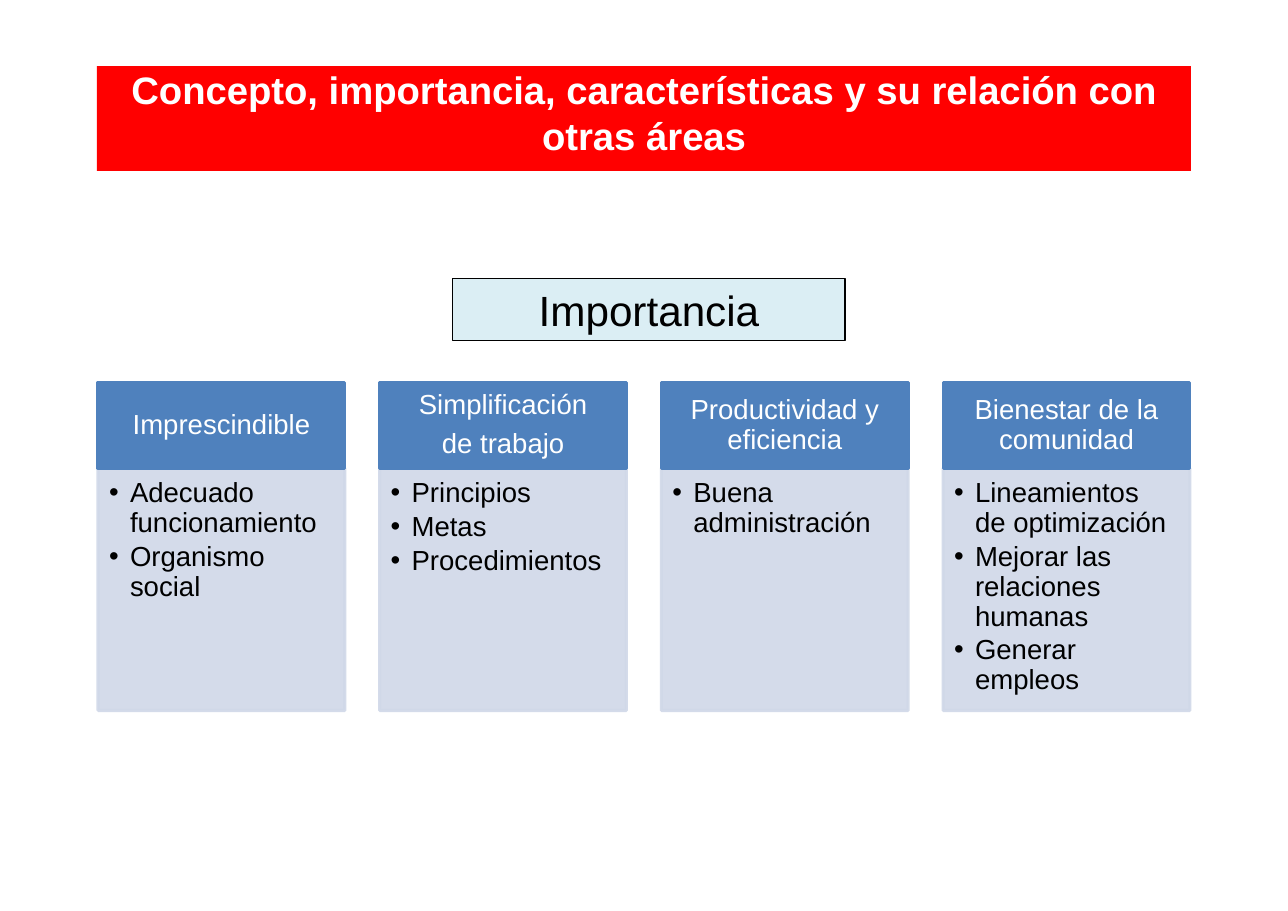
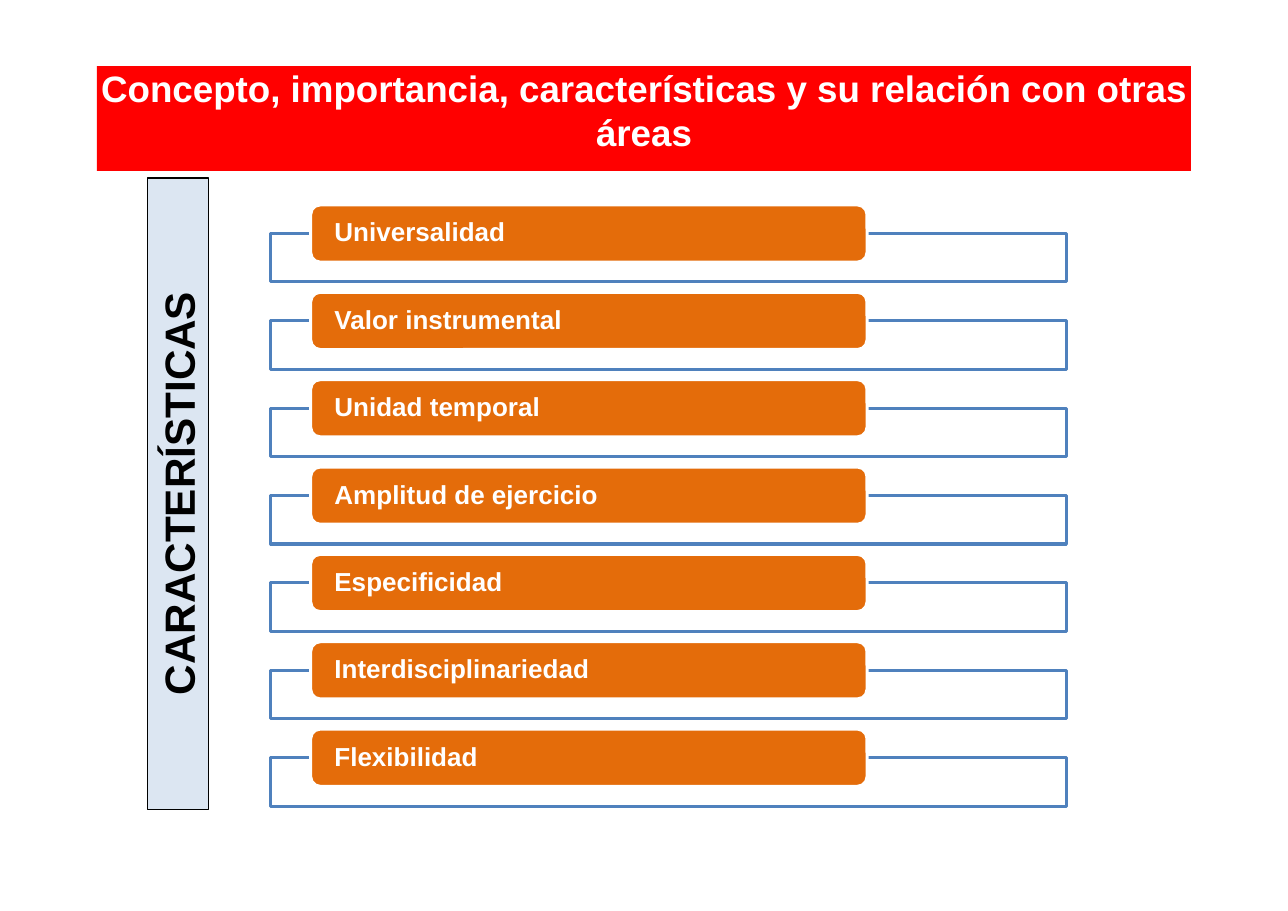
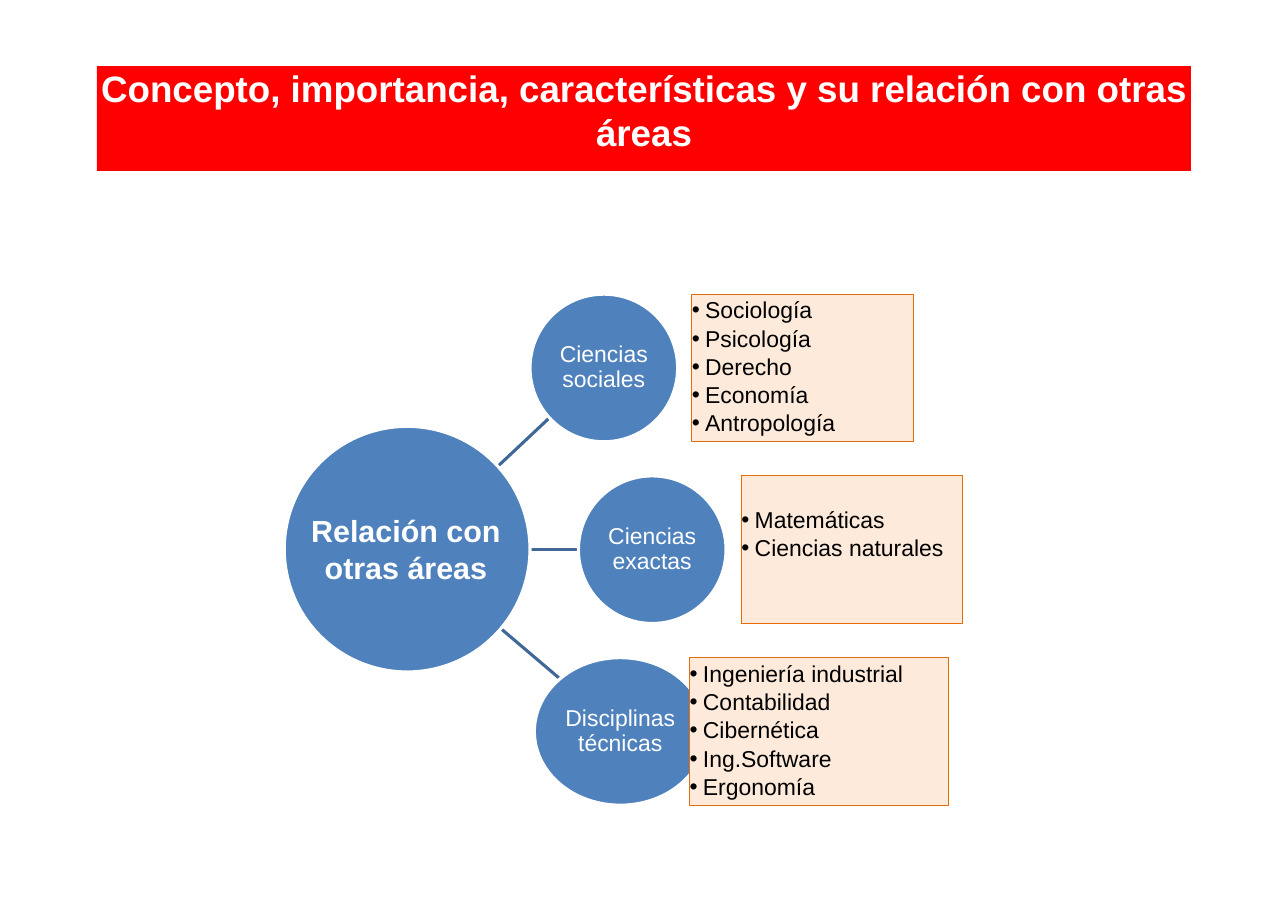
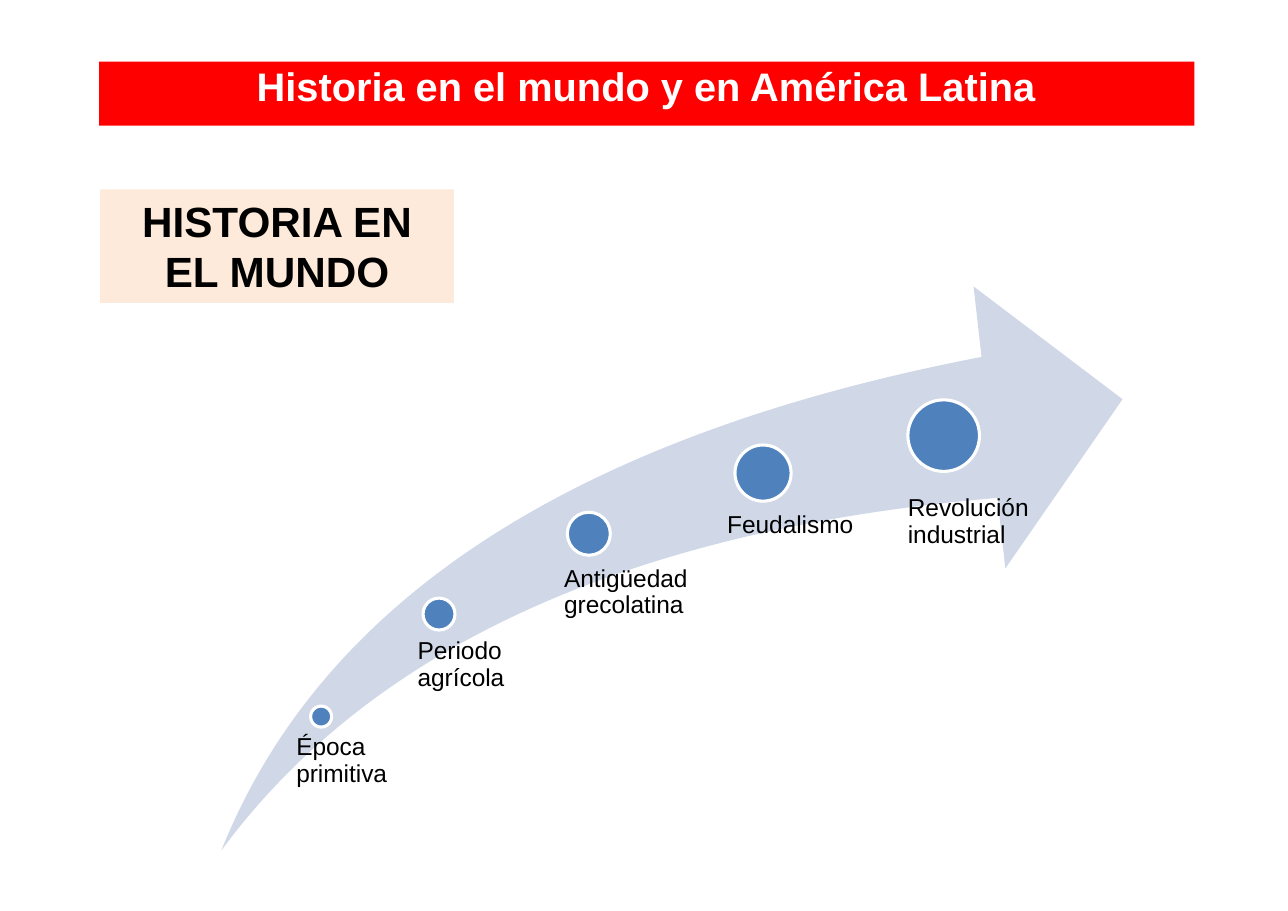
from dataclasses import dataclass

from lxml.etree import SubElement
from pptx import Presentation
from pptx.dml.color import RGBColor
from pptx.enum.shapes import MSO_CONNECTOR, MSO_SHAPE
from pptx.enum.text import MSO_ANCHOR, MSO_AUTO_SIZE, PP_ALIGN
from pptx.oxml.ns import qn
from pptx.util import Inches, Pt


@dataclass(frozen=True)
class Theme:
    font: str = "Arial"
    white: str = "FFFFFF"
    black: str = "000000"
    red: str = "FF0000"
    blue: str = "4F81BD"
    dark_blue: str = "3F6797"
    pale_blue: str = "D0D8E8"
    side_blue: str = "DCE6F2"
    aqua: str = "DBEEF4"
    orange: str = "E46C0A"
    peach: str = "FDEADA"
    title: float = 24
    heading: float = 27.6
    hub: float = 19.9
    column: float = 18
    bar: float = 17
    era: float = 16
    branch: float = 15


THEME = Theme()
TITLE_BOX = (7.53, 7.26, 84.94, 11.49)
TOPIC = "Concepto, importancia, características y su relación con otras áreas"
TITLE_ONLY, COMPARISON = 5, 4

deck = Presentation()
deck.slide_width, deck.slide_height = Inches(11.69), Inches(8.27)
ACROSS, DOWN = deck.slide_width / 100, deck.slide_height / 100


def dress(shape, share, fill=None, line=None, weight=2.0):
    """Place a shape by percentages of the slide, then set its fill and outline."""
    left, top, width, height = share
    shape.left, shape.top = round(left * ACROSS), round(top * DOWN)
    shape.width, shape.height = round(width * ACROSS), round(height * DOWN)
    shape.shadow.inherit = False
    if fill:
        shape.fill.solid()
        shape.fill.fore_color.rgb = RGBColor.from_string(fill)
    if line:
        shape.line.color.rgb = RGBColor.from_string(line)
        shape.line.width = Pt(weight)
    else:
        shape.line.fill.background()
    return shape


def write(shape, lines, size, color=THEME.black, bold=False, align=PP_ALIGN.CENTER,
          anchor=MSO_ANCHOR.TOP, insets=(0.1, 0.05, 0.1, 0.05), spacing=1.0,
          after=0.0, hanging=0.0):
    """Fill a shape with paragraphs; after is a share of the type size, and
    a hanging indent in inches turns the paragraphs into bullets."""
    frame = shape.text_frame
    frame.auto_size, frame.word_wrap = MSO_AUTO_SIZE.NONE, True
    frame.vertical_anchor = anchor
    (frame.margin_left, frame.margin_top,
     frame.margin_right, frame.margin_bottom) = map(Inches, insets)
    frame.text = "\n".join(lines)
    for paragraph in frame.paragraphs:
        paragraph.alignment = align
        paragraph.line_spacing = spacing
        paragraph.space_before, paragraph.space_after = Pt(0), Pt(size * after)
        paragraph.font.name, paragraph.font.size = THEME.font, Pt(size)
        paragraph.font.bold = bold
        paragraph.font.color.rgb = RGBColor.from_string(color)
        if hanging:
            properties = paragraph._p.get_or_add_pPr()
            properties.set("marL", str(Inches(hanging)))
            properties.set("indent", str(-Inches(hanging)))
            bullet = properties.makeelement(qn("a:buChar"), {"char": "•"})
            properties.insert_element_before(bullet, "a:tabLst", "a:defRPr", "a:extLst")


# Slides and their title bands
slides = []
for layout, title, size, band in (
    (COMPARISON, TOPIC, THEME.title + 1, TITLE_BOX),
    (TITLE_ONLY, TOPIC, THEME.title, TITLE_BOX),
    (COMPARISON, TOPIC, THEME.title, TITLE_BOX),
    (TITLE_ONLY, "Historia en el mundo y en América Latina", THEME.title + 2,
     (7.7, 6.77, 85.03, 7.01)),
):
    slide = deck.slides.add_slide(deck.slide_layouts[layout])
    write(dress(slide.shapes.title, band, THEME.red), [title], size, THEME.white,
          bold=True, insets=(0, 0, 0, 0))
    slides.append(slide)
importance, traits, relations, history = slides

# Importance: four headed columns
columns = (
    (["Imprescindible"], ["Adecuado funcionamiento", "Organismo social"]),
    (["Simplificación", "de trabajo"], ["Principios", "Metas", "Procedimientos"]),
    (["Productividad y eficiencia"], ["Buena administración"]),
    (["Bienestar de la comunidad"],
     ["Lineamientos de optimización", "Mejorar las relaciones humanas",
      "Generar empleos"]),
)
for index, (heading, points) in enumerate(columns):
    left = 7.61 + 21.87 * index
    header = importance.shapes.add_shape(MSO_SHAPE.RECTANGLE, 0, 0, 0, 0)
    dress(header, (left, 41.96, 19.16, 9.43), THEME.blue, THEME.blue)
    write(header, heading, THEME.column, THEME.white, anchor=MSO_ANCHOR.MIDDLE,
          insets=(0.14, 0.08, 0.14, 0.08), spacing=0.9, after=0.35)
    details = importance.placeholders[index + 1]
    dress(details, (left, 51.39, 19.16, 26.6), THEME.pale_blue, THEME.pale_blue)
    for tint in details._element.spPr.iter(qn("a:srgbClr")):
        SubElement(tint, qn("a:alpha"), val="90000")
    write(details, points, THEME.column, align=PP_ALIGN.LEFT,
          insets=(0.1, 0.1, 0.14, 0.16), spacing=0.9, after=0.15, hanging=0.19)
caption = importance.shapes.add_shape(MSO_SHAPE.RECTANGLE, 0, 0, 0, 0)
dress(caption, (35.16, 30.59, 30.45, 6.77), THEME.aqua, THEME.black, 0.75)
write(caption, ["Importancia"], THEME.heading)

# Characteristics: seven bars, each over a frame
for index, trait in enumerate((
    "Universalidad", "Valor instrumental", "Unidad temporal", "Amplitud de ejercicio",
    "Especificidad", "Interdisciplinariedad", "Flexibilidad",
)):
    drop = 9.59 * index
    frame_box = traits.shapes.add_shape(MSO_SHAPE.RECTANGLE, 0, 0, 0, 0)
    dress(frame_box, (21.04, 25.63 + drop, 61.76, 5.32), THEME.white, THEME.blue)
    bar = traits.shapes.add_shape(MSO_SHAPE.ROUNDED_RECTANGLE, 0, 0, 0, 0)
    dress(bar, (24.12, 22.49 + drop, 43.2, 6.29), THEME.orange, THEME.white)
    write(bar, [trait], THEME.bar, THEME.white, bold=True, align=PP_ALIGN.LEFT,
          anchor=MSO_ANCHOR.MIDDLE, insets=(0.19, 0, 0.19, 0), spacing=0.9)
sidebar = traits.shapes.add_shape(MSO_SHAPE.RECTANGLE, 0, 0, 0, 0)
dress(sidebar, (-10.69, 50.79, 49.02, 6.77), THEME.side_blue, THEME.black, 0.75)
sidebar.rotation = 270
write(sidebar, ["CARACTERÍSTICAS"], THEME.heading, bold=True)

# Relations: a hub with three branches, each with its list
for start_y, end_x, end_y in (
    (51.63, 42.69, 45.83), (60.34, 44.91, 60.34), (68.32, 43.46, 74.49),
):
    spoke = relations.shapes.add_connector(
        MSO_CONNECTOR.STRAIGHT, round(38.32 * ACROSS), round(start_y * DOWN),
        round(end_x * ACROSS), round(end_y * DOWN))
    spoke.line.color.rgb = RGBColor.from_string(THEME.dark_blue)
    spoke.line.width = Pt(2)
    SubElement(spoke._element.spPr, qn("a:effectLst"))

hub = relations.shapes.add_shape(MSO_SHAPE.OVAL, 0, 0, 0, 0)
dress(hub, (22.07, 46.8, 19.08, 26.96), THEME.blue, THEME.white)
hub_label = relations.shapes.add_textbox(0, 0, 0, 0)
dress(hub_label, (22.24, 55.62, 18.56, 9.31))
write(hub_label, ["Relación con otras áreas"], THEME.hub, THEME.white, bold=True)

branches = (
    ("Ciencias sociales", 41.15, 11.46, 53.72, 17.19, 0,
     ["Sociología", "Psicología", "Derecho", "Economía", "Antropología"]),
    ("Ciencias exactas", 44.91, 11.46, 57.57, 17.19, 0.26,
     ["Matemáticas", "Ciencias naturales"]),
    ("Disciplinas técnicas", 41.49, 13.34, 53.55, 20.1, 0,
     ["Ingeniería industrial", "Contabilidad", "Cibernética", "Ing.Software",
      "Ergonomía"]),
)
for index, (field, left, width, list_left, list_width, lift, subjects) in enumerate(branches):
    top = 32.29 + 19.95 * index
    circle = relations.shapes.add_shape(MSO_SHAPE.OVAL, 0, 0, 0, 0)
    dress(circle, (left, top, width, 16.2), THEME.blue, THEME.white)
    write(circle, [field], THEME.branch, THEME.white, anchor=MSO_ANCHOR.MIDDLE,
          insets=(0.01, 0.01, 0.01, 0.01), spacing=0.9)
    subject_list = relations.placeholders[index + 1]
    dress(subject_list, (list_left, top, list_width, 16.2), THEME.peach, THEME.orange, 0.75)
    write(subject_list, subjects, THEME.branch, align=PP_ALIGN.LEFT,
          anchor=MSO_ANCHOR.MIDDLE, insets=(0, 0, 0, lift), spacing=0.9,
          after=0.15, hanging=0.12)
    # Lists lie over the circles
    relations.shapes._spTree.append(subject_list._element)
unused = relations.placeholders[len(branches) + 1]._element
unused.getparent().remove(unused)

# History: eras along a rising arrow
arrow = history.shapes.add_shape(MSO_SHAPE.SWOOSH_ARROW, 0, 0, 0, 0)
dress(arrow, (17.19, 31.44, 69.97, 61.91), THEME.pale_blue)
arrow.adjustments[0], arrow.adjustments[1] = 0.25, 0.25
for era, left, top, diameter, label_left, label_top, label_width in (
    ("Época primitiva", 24.12, 77.51, 1.63, 23.01, 80.65, 8.3),
    ("Periodo agrícola", 32.85, 65.66, 2.48, 32.42, 70.13, 10.27),
    ("Antigüedad grecolatina", 44.05, 56.23, 3.34, 43.8, 62.15, 11.72),
    ("Feudalismo", 57.06, 48.85, 4.36, 56.46, 56.23, 11.72),
    ("Revolución industrial", 70.49, 43.89, 5.56, 70.49, 54.41, 11.12),
):
    dot = history.shapes.add_shape(MSO_SHAPE.OVAL, 0, 0, 0, 0)
    dress(dot, (left, top, diameter, diameter * ACROSS / DOWN), THEME.blue, THEME.white)
    era_label = history.shapes.add_textbox(0, 0, 0, 0)
    dress(era_label, (label_left, label_top, label_width, 6))
    write(era_label, [era], THEME.era, align=PP_ALIGN.LEFT, insets=(0, 0, 0, 0),
          spacing=0.9)
region = history.shapes.add_shape(MSO_SHAPE.RECTANGLE, 0, 0, 0, 0)
dress(region, (7.78, 20.8, 27.46, 12.45), THEME.peach)
write(region, ["HISTORIA EN EL MUNDO"], THEME.heading, bold=True)

deck.save("out.pptx")
